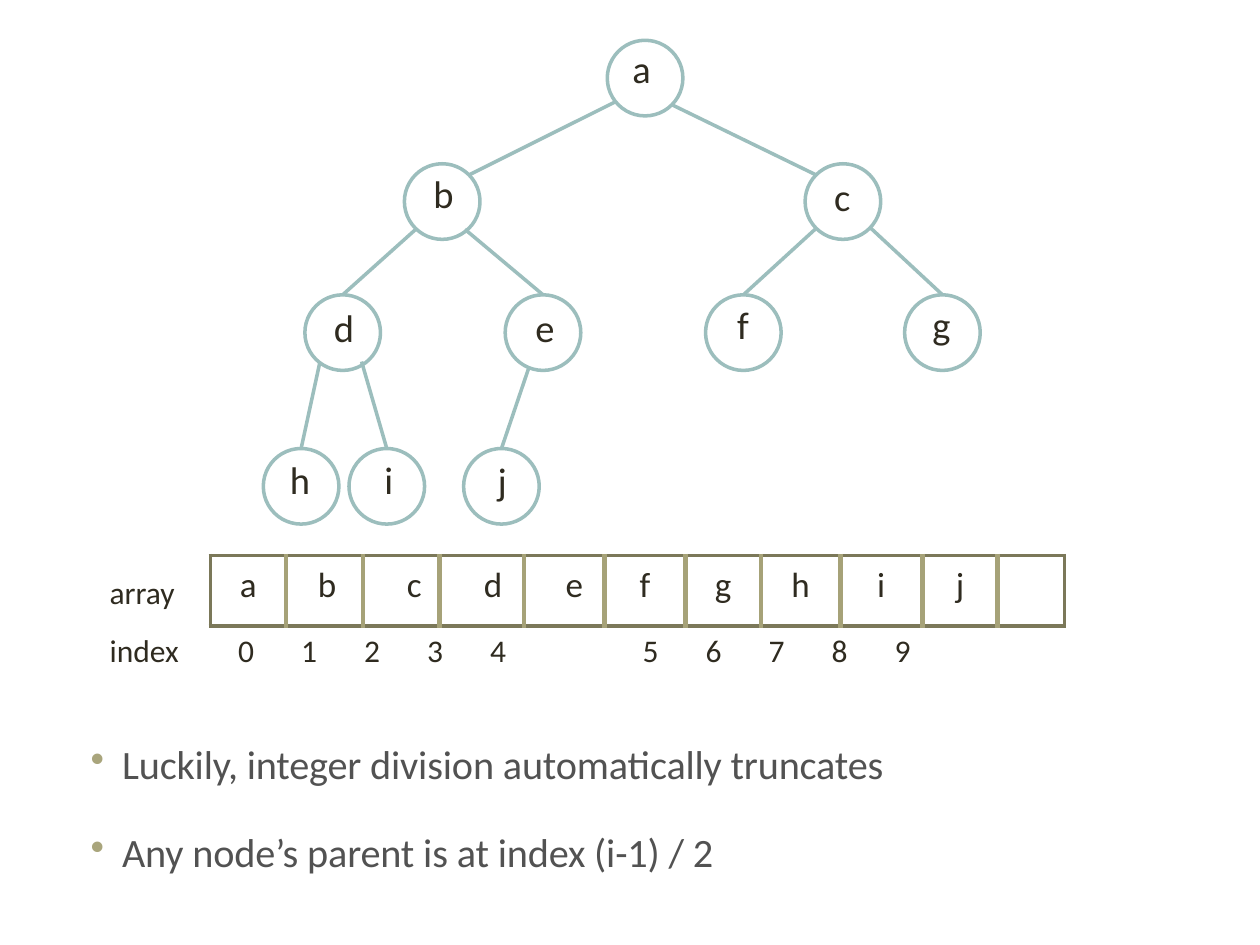
"""Build a slide showing a binary tree stored level by level in an array."""
from dataclasses import dataclass

import pptx
import pptx.dml.color
import pptx.enum.shapes
import pptx.enum.text
import pptx.oxml.ns
import pptx.util
from lxml import etree
from pptx.util import Inches

FONT = "Calibri"
INK = "2F2B20"
TREE_LINE = "9CBEBD"
FRAME = ("7B7859", 2.25)
DIVIDER = ("A6A278", 3)
DIAMETER = 0.6


@dataclass
class Node:
    letter: str
    left: float
    top: float
    label_left: float
    label_top: float


@dataclass
class Edge:
    child: str
    start_x: float
    start_y: float
    end_offset_x: float = DIAMETER / 2
    end_offset_y: float = 0


@dataclass
class Cell:
    letter: str
    width: float
    indent: float = 0


@dataclass
class TextBlock:
    paragraphs: list[str]
    left: float
    top: float
    width: float
    height: float
    size: float
    color: str = INK
    indent: float = 0.01
    hanging: float = 0
    spacing_before: tuple = (1, 0)
    line_spacing: float = 1
    tabs: tuple = ()
    bullet_color: str = ""
    tracking: int = 0


NODES = [
    Node("a", 4.82, 0.32, 5.01, 0.35),
    Node("b", 3.21, 1.3, 3.43, 1.34),
    Node("c", 6.39, 1.3, 6.61, 1.36),
    Node("d", 2.42, 2.34, 2.64, 2.4),
    Node("e", 4.01, 2.34, 4.24, 2.4),
    Node("f", 5.6, 2.34, 5.84, 2.38),
    Node("g", 7.18, 2.34, 7.39, 2.38),
    Node("h", 2.09, 3.56, 2.29, 3.61),
    Node("i", 2.77, 3.56, 3.04, 3.61),
    Node("j", 3.68, 3.56, 3.94, 3.62),
]
EDGES = [
    Edge("b", 4.88, 0.81, 0.51, 0.09), Edge("c", 5.33, 0.83, 0.09, 0.09),
    Edge("d", 3.3, 1.82), Edge("e", 3.69, 1.82),
    Edge("f", 6.48, 1.81), Edge("g", 6.91, 1.81),
    Edge("h", 2.54, 2.87), Edge("i", 2.87, 2.87), Edge("j", 4.2, 2.91),
]
CELLS = [
    Cell("a", 0.6), Cell("b", 0.61, 0.04), Cell("c", 0.61, 0.35),
    Cell("d", 0.67, 0.35), Cell("e", 0.64, 0.33), Cell("f", 0.64),
    Cell("g", 0.6), Cell("h", 0.63), Cell("i", 0.65), Cell("j", 0.6),
    Cell("", 0.53),
]
TEXT_BLOCKS = [
    TextBlock(["0\t1\t2\t3\t4"], 1.88, 5, 2.66, 0.33, 18, tabs=(0.6, 1.24, 1.88, 2.52)),
    TextBlock(["5\t6\t7\t8\t9"], 5.09, 5, 2.61, 0.33, 18, tabs=(0.6, 1.24, 1.82, 2.47)),
    TextBlock(["array", "index"], 0.86, 4.37, 0.58, 0.96, 18, line_spacing=1.55),
    TextBlock(
        ["Luckily, integer division automatically truncates",
         "Any node’s parent is at index (i-1) / 2"],
        0.71, 5.86, 6.4, 1.11, 23, "525252", 0.26, -0.25, (1, 22.7),
        bullet_color="A9A57C", tracking=-10),
]


def rgb(value: str) -> pptx.dml.color.RGBColor:
    """Turn a hex string into a colour."""
    return pptx.dml.color.RGBColor.from_string(value)


def add_element(parent, tag: str, **attributes):
    """Append a DrawingML element with the given attributes."""
    return etree.SubElement(parent, pptx.oxml.ns.qn(f"a:{tag}"), attributes)


def set_font(paragraph, size: float, color: str) -> None:
    """Set the shared font of a paragraph."""
    paragraph.font.name = FONT
    paragraph.font.size = pptx.util.Pt(size)
    paragraph.font.color.rgb = rgb(color)


def style_line(line) -> None:
    """Give a tree line its colour and width."""
    line.color.rgb = rgb(TREE_LINE)
    line.width = pptx.util.Pt(2)


def add_text(slide, block: TextBlock) -> None:
    """Add a text box with indents, tabs and optional bullets."""
    box = slide.shapes.add_textbox(
        Inches(block.left), Inches(block.top), Inches(block.width), Inches(block.height))
    frame = box.text_frame
    frame.word_wrap = True
    frame.margin_left = frame.margin_right = frame.margin_bottom = 0
    frame.margin_top = Inches(0.01)
    for number, text in enumerate(block.paragraphs):
        paragraph = frame.add_paragraph() if number else frame.paragraphs[0]
        run = paragraph.add_run()
        run.text = text
        paragraph.space_before = pptx.util.Pt(block.spacing_before[number])
        paragraph.line_spacing = block.line_spacing
        properties = paragraph._p.get_or_add_pPr()
        properties.set("marL", str(Inches(block.indent)))
        properties.set("indent", str(Inches(block.hanging)))
        if block.bullet_color:
            add_element(add_element(properties, "buClr"), "srgbClr", val=block.bullet_color)
            add_element(properties, "buChar", char="•")
        if block.tabs:
            tab_list = add_element(properties, "tabLst")
            for position in block.tabs:
                add_element(tab_list, "tab", pos=str(Inches(position)), algn="l")
        if block.tracking:
            run._r.get_or_add_rPr().set("spc", str(block.tracking))
        set_font(paragraph, block.size, block.color)


def add_node(slide, node: Node):
    """Draw the circle of a tree node."""
    circle = slide.shapes.add_shape(
        pptx.enum.shapes.MSO_SHAPE.OVAL, Inches(node.left), Inches(node.top),
        Inches(DIAMETER), Inches(DIAMETER))
    circle.shadow.inherit = False
    circle.fill.background()
    style_line(circle.line)
    return circle


def add_edge(slide, edge: Edge, node: Node, circle) -> None:
    """Draw the line from a parent down to a child node."""
    connector = slide.shapes.add_connector(
        pptx.enum.shapes.MSO_CONNECTOR.STRAIGHT,
        Inches(edge.start_x), Inches(edge.start_y),
        Inches(node.left + edge.end_offset_x), Inches(node.top + edge.end_offset_y))
    if edge.end_offset_y == 0:
        connector.end_connect(circle, 0)
    style_line(connector.line)
    add_element(connector._element.spPr, "effectLst")


def add_array(slide, cells: list[Cell]) -> None:
    """Add the one-row table that holds the array."""
    total = sum(cell.width for cell in cells)
    table = slide.shapes.add_table(
        1, len(cells), Inches(1.67), Inches(4.41), Inches(total), Inches(0.56)).table
    table.first_row = table.horz_banding = False
    last = len(cells) - 1
    for number, item in enumerate(cells):
        table.columns[number].width = Inches(item.width)
        cell = table.cell(0, number)
        cell.margin_left = cell.margin_right = cell.margin_bottom = 0
        cell.margin_top = Inches(0.07)
        borders = {"lnL": DIVIDER if number else FRAME,
                   "lnR": DIVIDER if number < last else FRAME,
                   "lnT": FRAME, "lnB": FRAME}
        for tag, (color, width) in borders.items():
            border = add_element(cell._tc.get_or_add_tcPr(), tag, w=str(pptx.util.Pt(width)))
            add_element(add_element(border, "solidFill"), "srgbClr", val=color)
        cell.fill.background()
        paragraph = cell.text_frame.paragraphs[0]
        paragraph.text = item.letter
        paragraph.space_before = pptx.util.Pt(4.8)
        paragraph._p.get_or_add_pPr().set("marL", str(Inches(item.indent)))
        alignment = pptx.enum.text.PP_ALIGN
        paragraph.alignment = alignment.LEFT if item.indent > 0.3 else alignment.CENTER
        set_font(paragraph, 20, INK)


def main() -> None:
    """Build and save the presentation."""
    presentation = pptx.Presentation()
    presentation.slide_width, presentation.slide_height = Inches(10), Inches(7.5)
    slide = presentation.slides.add_slide(presentation.slide_layouts[6])
    add_array(slide, CELLS)
    for block in TEXT_BLOCKS:
        add_text(slide, block)
    nodes = {node.letter: node for node in NODES}
    circles = {node.letter: add_node(slide, node) for node in NODES}
    for edge in EDGES:
        add_edge(slide, edge, nodes[edge.child], circles[edge.child])
    for node in NODES:
        add_text(slide, TextBlock([node.letter], node.label_left, node.label_top, 0.2, 0.39, 22))
    presentation.save("out.pptx")


if __name__ == "__main__":
    main()
